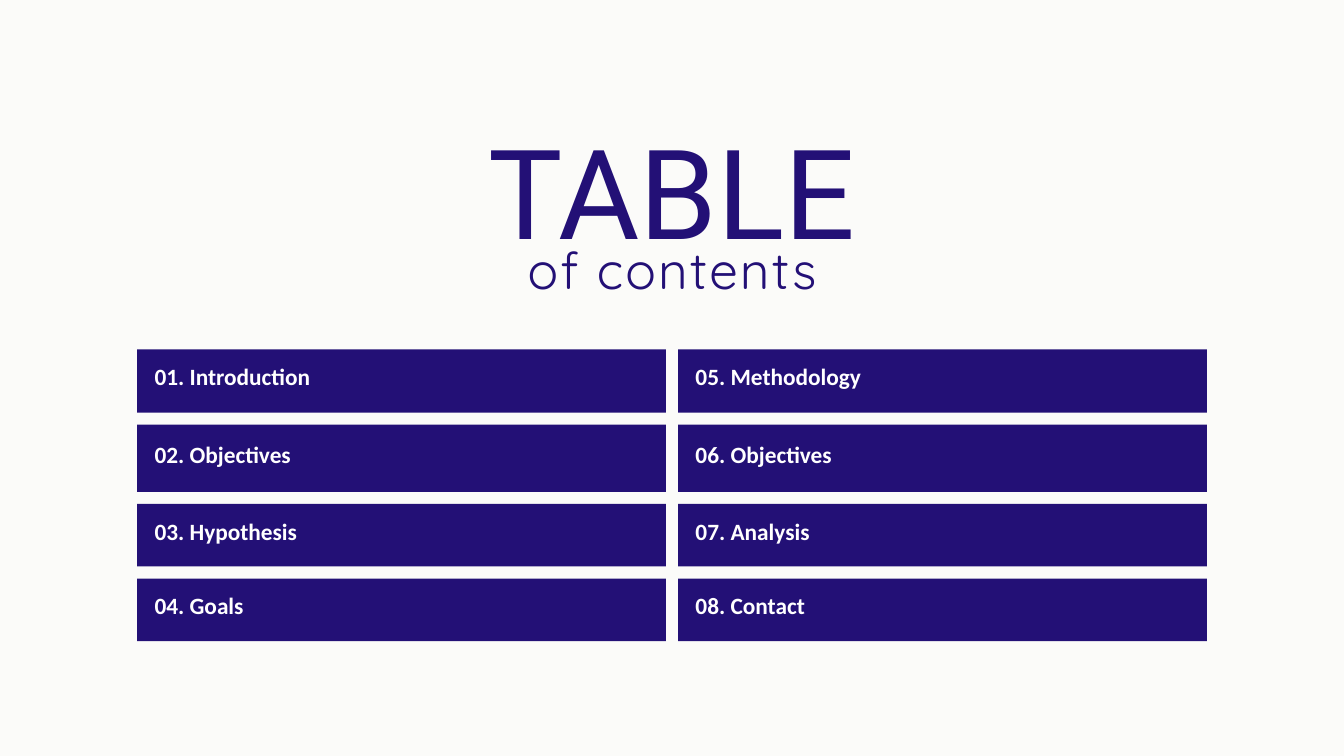
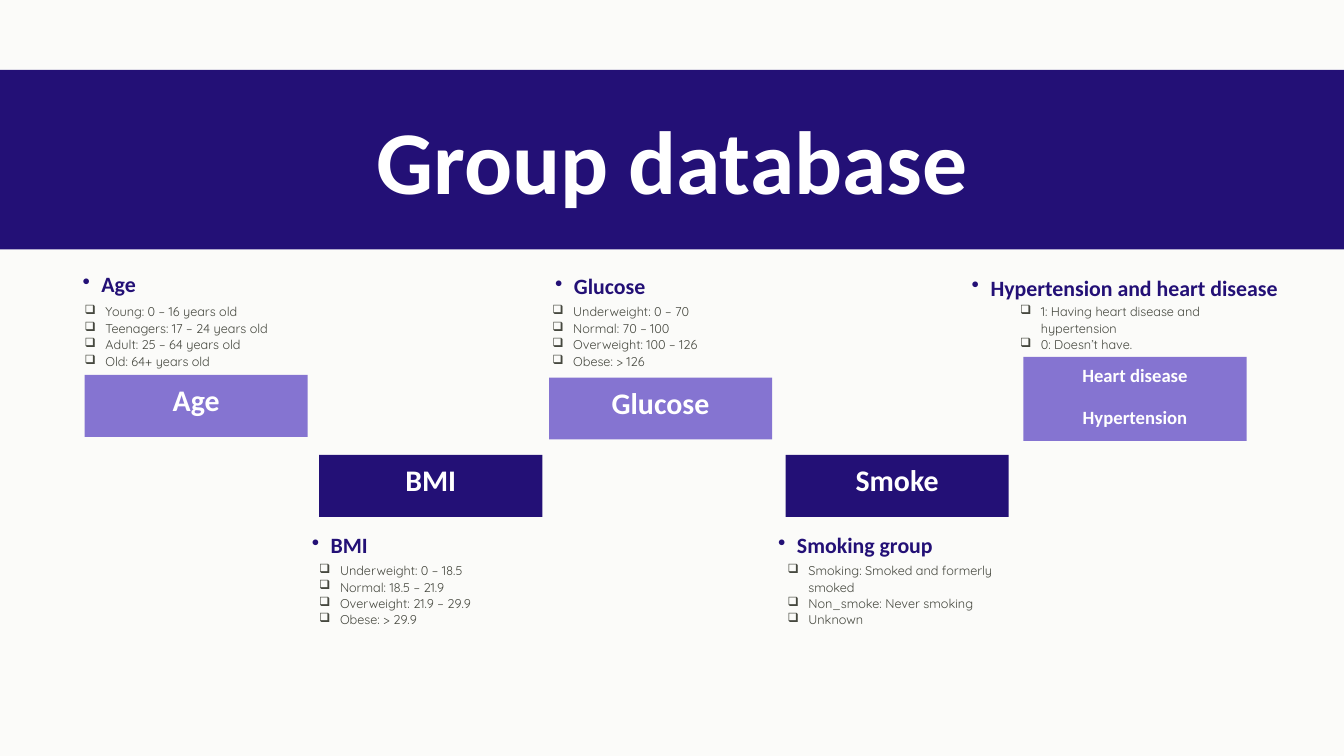
from dataclasses import dataclass

from lxml.etree import SubElement
from pptx import Presentation
from pptx.dml.color import RGBColor
from pptx.enum.shapes import MSO_SHAPE as Preset
from pptx.enum.text import MSO_ANCHOR as Anchor, MSO_AUTO_SIZE as AutoSize, PP_ALIGN as Align
from pptx.oxml.ns import qn
from pptx.presentation import Presentation as Deck
from pptx.slide import Slide
from pptx.util import Pt

PX = 9144


@dataclass(frozen=True)
class Box:
    """A rectangle in px, 100 px to the inch."""
    left: int
    top: int
    width: int
    height: int

    def emu(self) -> tuple[int, ...]:
        """Return the four lengths in EMU."""
        return tuple(v * PX for v in (self.left, self.top, self.width, self.height))


@dataclass(frozen=True)
class TextStyle:
    """How the paragraphs of one kind of text look."""
    font: str
    size: float
    color: str
    leading: float
    bold: bool = False
    align: Align | None = None
    tracking: int = 0
    bullet: str = ""
    level: int = 0
    margin: int = 0
    hanging: int = 0


@dataclass(frozen=True)
class Theme:
    """Colours and type styles shared by the slides."""
    paper: str = "FBFBF9"
    navy: str = "231076"
    violet: str = "8574D1"
    white: str = "FFFFFF"
    grey: str = "46483F"

    contents_title = TextStyle("Roboto", 133.6, navy, 187.1, align=Align.CENTER)
    contents_subtitle = TextStyle("Quicksand", 55, navy, 77, align=Align.CENTER, tracking=240)
    contents_entry = TextStyle("Calibri", 25, white, 35, bold=True, align=Align.JUSTIFY)
    band_title = TextStyle("Calibri", 96, white, 134.4, bold=True, align=Align.CENTER)
    label = TextStyle("Calibri", 32, white, 44.8, bold=True, align=Align.CENTER)
    small_label = TextStyle("Calibri", 20, white, 44.8, bold=True, align=Align.CENTER)
    heading = TextStyle("Calibri", 23.4, navy, 26.9, bold=True,
                        bullet="•", level=1, margin=55, hanging=28)
    category = TextStyle("Quicksand", 13.6, grey, 17.6, bullet="❑", margin=31, hanging=31)


THEME = Theme()


@dataclass(frozen=True)
class Group:
    """A patient group: its tile, its heading and its categories."""
    tile: Box
    color: str
    labels: list[str]
    label_style: TextStyle
    label_rise: int
    heading: str
    heading_box: Box
    list_left: int
    list_top: int
    categories: list[str]


ENTRIES = ["Introduction", "Objectives", "Hypothesis", "Goals",
           "Methodology", "Objectives", "Analysis", "Contact"]
ROW_HEIGHTS = [94, 100, 93, 93]
TILE_W, TILE_H = 332, 92
UPPER_LISTS, LOWER_TILES, LOWER_HEADINGS, LOWER_LISTS = 451, 677, 793, 836

GROUPS = [
    Group(Box(126, 558, TILE_W, TILE_H), THEME.violet, ["Age"], THEME.label, 27,
          "Age", Box(96, 405, 379, 38), 126, UPPER_LISTS,
          ["Young: 0 – 16 years old", "Teenagers: 17 – 24 years old",
           "Adult: 25 – 64 years old", "Old: 64+ years old"]),
    Group(Box(475, LOWER_TILES, TILE_W, TILE_H), THEME.navy, ["BMI"], THEME.label, 27,
          "BMI", Box(437, LOWER_HEADINGS, 385, 38), 475, LOWER_LISTS,
          ["Underweight: 0 – 18.5", "Normal: 18.5 – 21.9",
           "Overweight: 21.9 – 29.9", "Obese: > 29.9"]),
    Group(Box(817, 562, TILE_W, TILE_H), THEME.violet, ["Glucose"], THEME.label, 27,
          "Glucose", Box(799, 408, 373, 38), 822, UPPER_LISTS,
          ["Underweight: 0 – 70", "Normal: 70 – 100",
           "Overweight: 100 – 126", "Obese: > 126"]),
    Group(Box(1169, LOWER_TILES, TILE_W, TILE_H), THEME.navy, ["Smoke"], THEME.label, 27,
          "Smoking group", Box(1131, LOWER_HEADINGS, 468, 38), 1172, LOWER_LISTS,
          ["Smoking: Smoked and formerly smoked", "Non_smoke: Never smoking", "Unknown"]),
    Group(Box(1523, 531, TILE_W, 125), THEME.violet, ["Heart disease", "Hypertension"],
          THEME.small_label, 37,
          "Hypertension and heart disease", Box(1419, 410, 537, 38), 1518, UPPER_LISTS,
          ["1: Having heart disease and hypertension", "0: Doesn’t have."]),
]


def add_page(deck: Deck) -> Slide:
    """Add a blank slide on the paper colour."""
    page = deck.slides.add_slide(deck.slide_layouts[6])
    page.background.fill.solid()
    page.background.fill.fore_color.rgb = RGBColor.from_string(THEME.paper)
    return page


def add_bar(page: Slide, box: Box, color: str) -> None:
    """Draw a flat filled rectangle."""
    bar = page.shapes.add_shape(Preset.RECTANGLE, *box.emu())
    bar.shadow.inherit = False
    bar.fill.solid()
    bar.fill.fore_color.rgb = RGBColor.from_string(color)
    bar.line.fill.background()


def add_text(page: Slide, box: Box, lines: list[str], style: TextStyle,
             inset: int = 0, anchor: Anchor = Anchor.TOP) -> None:
    """Write one paragraph per line in the given style."""
    frame = page.shapes.add_textbox(*box.emu()).text_frame
    frame.word_wrap = True
    frame.auto_size = AutoSize.NONE if inset else AutoSize.SHAPE_TO_FIT_TEXT
    frame.vertical_anchor = anchor
    frame.margin_left = frame.margin_right = inset * PX
    frame.margin_top = frame.margin_bottom = inset * PX
    for index, line in enumerate(lines):
        paragraph = frame.add_paragraph() if index else frame.paragraphs[0]
        paragraph.alignment = style.align
        paragraph.level = style.level
        paragraph.line_spacing = Pt(style.leading)
        if style.bullet:
            properties = paragraph._p.get_or_add_pPr()
            properties.set("marL", str(style.margin * PX))
            properties.set("indent", str(-style.hanging * PX))
            SubElement(properties, qn("a:buChar")).set("char", style.bullet)
        run = paragraph.add_run()
        run.text = line
        run.font.name = style.font
        run.font.size = Pt(style.size)
        run.font.bold = style.bold
        run.font.color.rgb = RGBColor.from_string(style.color)
        if style.tracking:
            run._r.get_or_add_rPr().set("spc", str(style.tracking))


def add_labelled_bar(page: Slide, box: Box, color: str, lines: list[str],
                     style: TextStyle, rise: int, inset: int) -> None:
    """Draw a bar whose label area starts a little above it."""
    add_bar(page, box, color)
    label_box = Box(box.left, box.top - rise, box.width, box.height + rise)
    add_text(page, label_box, lines, style, inset, Anchor.MIDDLE)


def build_contents(deck: Deck) -> None:
    """Build the table of contents in two columns."""
    page = add_page(deck)
    add_text(page, Box(384, 133, 1232, 250), ["TABLE"], THEME.contents_title)
    add_text(page, Box(625, 339, 751, 102), ["of contents"], THEME.contents_subtitle)
    gap, width = 18, 787
    rows = len(ROW_HEIGHTS)
    for index, entry in enumerate(ENTRIES):
        column, row = divmod(index, rows)
        top = 520 + sum(ROW_HEIGHTS[:row]) + row * gap
        box = Box(204 + column * (width + gap), top, width, ROW_HEIGHTS[row])
        add_labelled_bar(page, box, THEME.navy, [f"{index + 1:02}. {entry}"],
                         THEME.contents_entry, rise=20, inset=26)


def build_groups(deck: Deck) -> None:
    """Build the overview of the patient groups."""
    page = add_page(deck)
    add_bar(page, Box(-151, 104, 2302, 267), THEME.navy)
    add_text(page, Box(113, 129, 1774, 181), ["Group database"], THEME.band_title)
    for group in GROUPS:
        add_labelled_bar(page, group.tile, group.color, group.labels,
                         group.label_style, group.label_rise, inset=6)
        add_text(page, group.heading_box, [group.heading], THEME.heading)
        list_height = 99 if len(group.categories) > 2 else 74
        list_box = Box(group.list_left, group.list_top, 339, list_height)
        add_text(page, list_box, group.categories, THEME.category)


def main() -> None:
    """Build and save the deck."""
    deck = Presentation()
    deck.slide_width, deck.slide_height = 2000 * PX, 1125 * PX
    build_contents(deck)
    build_groups(deck)
    deck.save("out.pptx")


if __name__ == "__main__":
    main()
